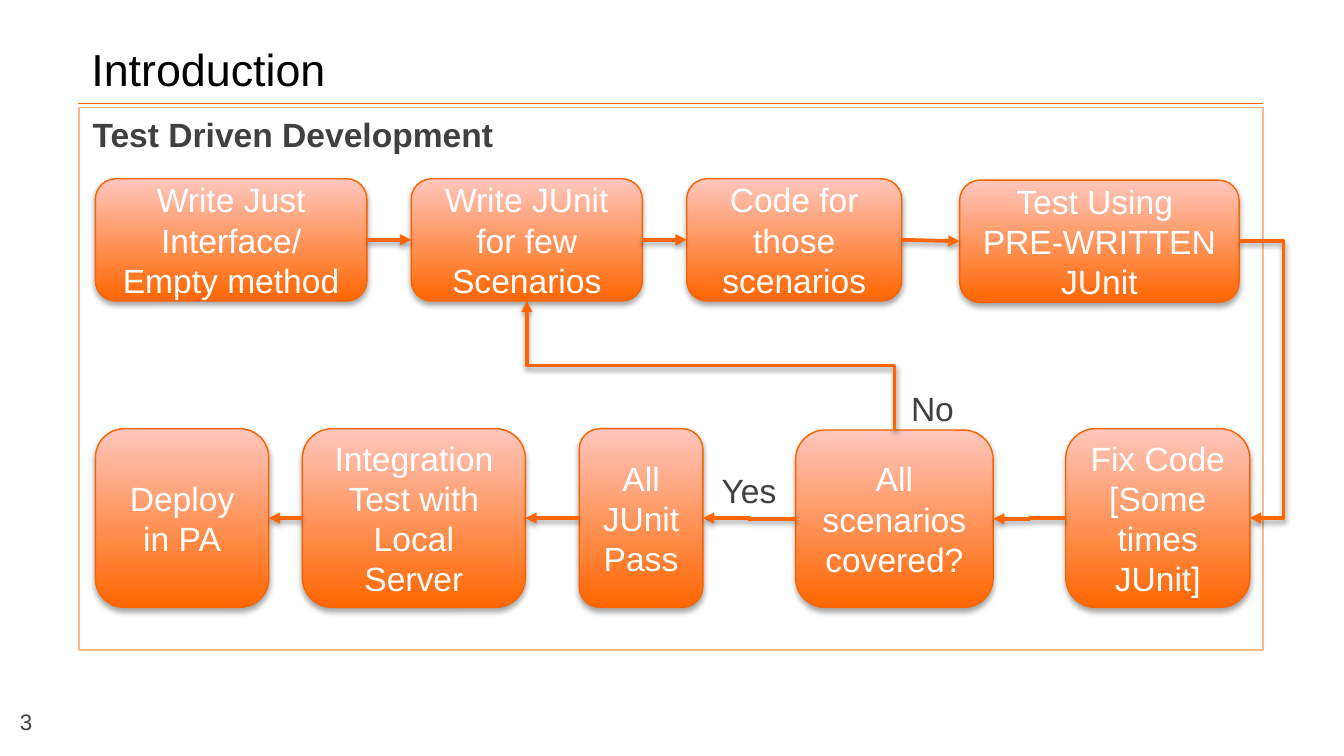
from dataclasses import dataclass

from lxml import etree
from pptx import Presentation
from pptx import util as u
from pptx.dml import color
from pptx.enum import shapes, text
from pptx.oxml import ns

COLORS = {
    "orange": "FF6600",
    "peach": "FFC6BD",
    "box_line": "F96400",
    "panel_line": "FFBA8C",
    "gray": "404040",
    "black": "000000",
    "white": "FFFFFF",
}
FONT = "Arial"
TOP, LEFT, BOTTOM, RIGHT = range(4)


@dataclass
class Step:
    name: str
    left: float
    top: float
    width: float
    height: float
    label: str


@dataclass
class Arrow:
    start: str
    start_site: int
    end: str
    end_site: int
    elbow: bool = False


@dataclass
class Label:
    left: float
    top: float
    width: float
    height: float
    label: str
    size: int = 18


STEPS = [
    Step("interface", 0.71, 1.33, 2.02, 0.91, "Write Just Interface/ Empty method"),
    Step("write", 3.06, 1.33, 1.72, 0.91, "Write JUnit for few Scenarios"),
    Step("code", 5.11, 1.33, 1.6, 0.91, "Code for those scenarios"),
    Step("test", 7.14, 1.34, 2.08, 0.91, "Test Using \nPRE-WRITTEN JUnit"),
    Step("fix", 7.93, 3.19, 1.37, 1.33, "Fix Code\n[Some times JUnit]"),
    Step("covered", 5.92, 3.2, 1.47, 1.32, "All scenarios covered?"),
    Step("pass", 4.31, 3.19, 0.92, 1.33, "All JUnit Pass"),
    Step("integration", 2.25, 3.19, 1.66, 1.33, "Integration Test with Local Server"),
    Step("deploy", 0.71, 3.19, 1.29, 1.33, "Deploy in PA"),
]
ARROWS = [
    Arrow("interface", RIGHT, "write", LEFT),
    Arrow("write", RIGHT, "code", LEFT),
    Arrow("code", RIGHT, "test", LEFT),
    Arrow("fix", LEFT, "covered", RIGHT, True),
    Arrow("covered", LEFT, "pass", RIGHT, True),
    Arrow("pass", LEFT, "integration", RIGHT, True),
    Arrow("integration", LEFT, "deploy", RIGHT, True),
]
TEST_TO_FIX = Arrow("test", RIGHT, "fix", RIGHT, True)
NO_BRANCH = Arrow("covered", TOP, "write", BOTTOM, True)
LABELS = [
    Label(5.27, 3.45, 0.69, 0.4, "Yes"),
    Label(6.68, 2.84, 0.69, 0.4, "No"),
    Label(0.05, 5.22, 0.51, 0.3, "3", 12),
]


def rgb(name: str) -> color.RGBColor:
    return color.RGBColor.from_string(COLORS[name])


def set_text(shape, content: str, size: int, color_name: str,
             align=text.PP_ALIGN.LEFT, anchor=text.MSO_ANCHOR.TOP, bold: bool = False) -> None:
    frame = shape.text_frame
    frame.word_wrap = True
    frame.vertical_anchor = anchor
    frame.text = content
    for paragraph in frame.paragraphs:
        paragraph.alignment = align
        for run in paragraph.runs:
            run.font.name = FONT
            run.font.size = u.Pt(size)
            run.font.bold = bold
            run.font.color.rgb = rgb(color_name)


def set_line(shape, color_name: str, width: float) -> None:
    shape.line.color.rgb = rgb(color_name)
    shape.line.width = u.Pt(width)


def add_effects(shape):
    return etree.SubElement(shape.element.spPr, ns.qn("a:effectLst"))


def add_shadow(shape, distance: float, opacity: int) -> None:
    shadow = etree.SubElement(
        add_effects(shape), ns.qn("a:outerShdw"), blurRad=str(u.Pt(3.1)),
        dist=str(u.Pt(distance)), dir="5400000", rotWithShape="0")
    shade = etree.SubElement(shadow, ns.qn("a:srgbClr"), val=COLORS["black"])
    etree.SubElement(shade, ns.qn("a:alpha"), val=str(opacity * 1000))


def add_title(slide) -> None:
    title = slide.shapes.title
    title.left, title.top = u.Inches(0.58), u.Inches(0.35)
    title.width, title.height = u.Inches(8.81), u.Inches(0.41)
    set_text(title, "Introduction", 24, "black", anchor=text.MSO_ANCHOR.BOTTOM)
    rule = slide.shapes.add_connector(
        shapes.MSO_CONNECTOR.STRAIGHT,
        u.Inches(0.58), u.Inches(0.77), u.Inches(9.4), u.Inches(0.77))
    set_line(rule, "orange", 1)
    add_effects(rule)


def add_panel(slide) -> None:
    panel = slide.shapes.add_shape(
        shapes.MSO_SHAPE.RECTANGLE,
        u.Inches(0.59), u.Inches(0.8), u.Inches(8.81), u.Inches(4.04))
    panel.shadow.inherit = False
    panel.fill.background()
    set_line(panel, "panel_line", 1)
    set_text(panel, "Test Driven Development", 18, "gray", bold=True)


def add_step(slide, step: Step):
    box = slide.shapes.add_shape(
        shapes.MSO_SHAPE.ROUNDED_RECTANGLE, u.Inches(step.left), u.Inches(step.top),
        u.Inches(step.width), u.Inches(step.height))
    box.fill.gradient()
    box.fill.gradient_angle = 90
    for stop, name in zip(box.fill.gradient_stops, ("orange", "peach")):
        stop.color.rgb = rgb(name)
    set_line(box, "box_line", 0.75)
    add_shadow(box, 1.8, 35)
    set_text(box, step.label, 18, "white", text.PP_ALIGN.CENTER, text.MSO_ANCHOR.MIDDLE)
    return box


def add_arrow(slide, boxes: dict, arrow: Arrow):
    kind = shapes.MSO_CONNECTOR.ELBOW if arrow.elbow else shapes.MSO_CONNECTOR.STRAIGHT
    connector = slide.shapes.add_connector(kind, 0, 0, 0, 0)
    connector.begin_connect(boxes[arrow.start], arrow.start_site)
    connector.end_connect(boxes[arrow.end], arrow.end_site)
    set_line(connector, "orange", 2)
    line = connector.element.spPr.find(ns.qn("a:ln"))
    etree.SubElement(line, ns.qn("a:tailEnd"), type="triangle")
    add_shadow(connector, 1.6, 38)
    return connector


def set_bend(connector, ratio: float) -> None:
    guides = connector.element.spPr.find(ns.qn("a:prstGeom")).find(ns.qn("a:avLst"))
    etree.SubElement(guides, ns.qn("a:gd"), name="adj1", fmla=f"val {round(ratio * 100000)}")


def turn_upward(connector) -> None:
    width, height = connector.width, connector.height
    center_x, center_y = connector.left + width // 2, connector.top + height // 2
    connector.left, connector.top = center_x - height // 2, center_y - width // 2
    connector.width, connector.height = height, width
    transform = connector.element.spPr.find(ns.qn("a:xfrm"))
    transform.attrib.pop("flipH", None)
    transform.set("flipV", "1")
    transform.set("rot", "16200000")


def add_label(slide, label: Label) -> None:
    box = slide.shapes.add_textbox(
        u.Inches(label.left), u.Inches(label.top), u.Inches(label.width), u.Inches(label.height))
    set_text(box, label.label, label.size, "gray")


def main() -> None:
    presentation = Presentation()
    presentation.slide_width = u.Inches(10)
    presentation.slide_height = presentation.slide_width * 9 // 16
    slide = presentation.slides.add_slide(presentation.slide_layouts[5])
    add_title(slide)
    add_panel(slide)
    boxes = {step.name: add_step(slide, step) for step in STEPS}
    for arrow in ARROWS:
        add_arrow(slide, boxes, arrow)
    set_bend(add_arrow(slide, boxes, TEST_TO_FIX), 4.13)
    turn_upward(add_arrow(slide, boxes, NO_BRANCH))
    for label in LABELS:
        add_label(slide, label)
    presentation.save("out.pptx")


if __name__ == "__main__":
    main()
